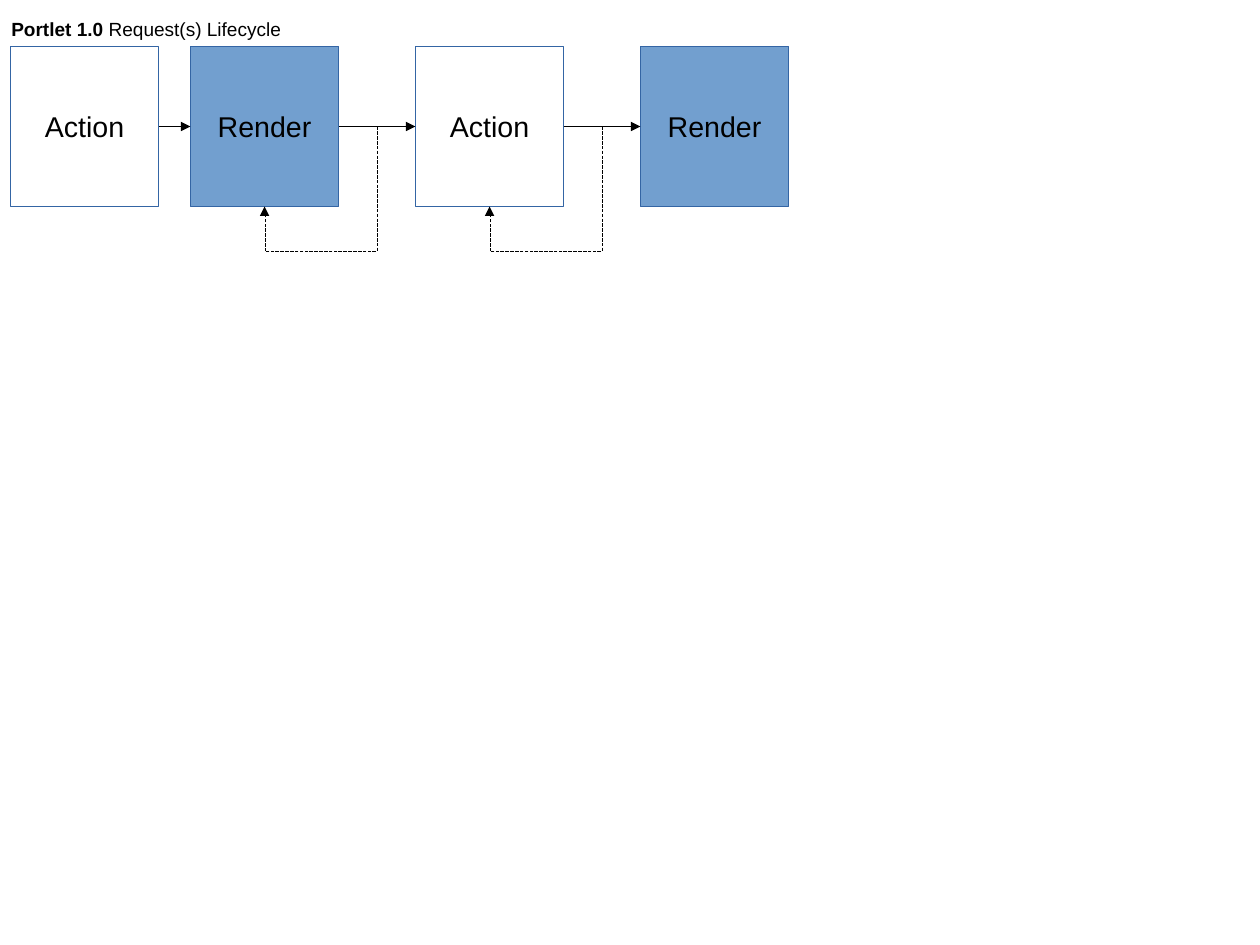
from pptx import Presentation
from pptx.dml.color import RGBColor
from pptx.enum.dml import MSO_LINE
from pptx.enum.shapes import MSO_CONNECTOR, MSO_SHAPE
from pptx.enum.text import MSO_ANCHOR, MSO_AUTO_SIZE, PP_ALIGN
from pptx.oxml.ns import qn
from pptx.util import Cm, Pt
from lxml.etree import SubElement


def rgb(value):
    return RGBColor.from_string(value)


class Deck:
    FONT = "Arial"
    INK = "000000"
    BORDER = "3465A4"
    RENDER_FILL = "729FCF"

    def __init__(self, prs):
        self.s = prs.slides.add_slide(prs.slide_layouts[5])

    def style_text(self, p, size):
        p.alignment = PP_ALIGN.CENTER
        p.font.name = self.FONT
        p.font.size = Pt(size)
        p.font.color.rgb = rgb(self.INK)

    def title(self, bold_text, text):
        sp = self.s.shapes.title
        sp.left, sp.top, sp.width, sp.height = Cm(0), Cm(0.25), Cm(6.5), Cm(0.74)
        tf = sp.text_frame
        tf.word_wrap = False
        tf.auto_size = MSO_AUTO_SIZE.SHAPE_TO_FIT_TEXT
        tf.vertical_anchor = MSO_ANCHOR.TOP
        tf.margin_left = tf.margin_right = Cm(0)
        p = tf.paragraphs[0]
        self.style_text(p, 12)
        for part, bold in ((bold_text, True), (text, False)):
            r = p.add_run()
            r.text = part
            r.font.bold = bold

    def phase(self, name, x, y, w, h):
        sp = self.s.shapes.add_shape(MSO_SHAPE.RECTANGLE, Cm(x), Cm(y), Cm(w), Cm(h))
        sp.shadow.inherit = False
        if name == "Render":
            sp.fill.solid()
            sp.fill.fore_color.rgb = rgb(self.RENDER_FILL)
        else:
            sp.fill.background()
        sp.line.color.rgb = rgb(self.BORDER)
        sp.line.width = Pt(0)
        tf = sp.text_frame
        tf.word_wrap = False
        tf.vertical_anchor = MSO_ANCHOR.MIDDLE
        p = tf.paragraphs[0]
        p.text = name
        self.style_text(p, 18)
        return sp

    def connector(self, kind, x1, y1, x2, y2):
        c = self.s.shapes.add_connector(kind, Cm(x1), Cm(y1), Cm(x2), Cm(y2))
        c._element.remove(c._element.find(qn("p:style")))
        c.line.color.rgb = rgb(self.INK)
        c.line.width = Pt(0)
        return c

    def finish(self, c):
        SubElement(c.line._get_or_add_ln(), qn("a:tailEnd"), type="triangle")
        SubElement(c._element.spPr, qn("a:effectLst"))

    def arrow(self, source, target):
        c = self.connector(MSO_CONNECTOR.STRAIGHT, 0, 0, 1, 1)
        c.begin_connect(source, 3)
        c.end_connect(target, 1)
        self.finish(c)

    def loop(self, x1, y1, x2, y2, drop):
        run, rise = x1 - x2, y2 - y1
        cx, cy = (x1 + x2) / 2, (y1 + y2) / 2
        c = self.connector(MSO_CONNECTOR.ELBOW, cx - rise / 2, cy - run / 2,
                           cx + rise / 2, cy + run / 2)
        c.line.dash_style = MSO_LINE.SQUARE_DOT
        spPr = c._element.spPr
        spPr.find(qn("a:xfrm")).set("rot", "5400000")
        avLst = spPr.find(qn("a:prstGeom")).get_or_add_avLst()
        ratio = round((rise + drop) / rise * 100000)
        SubElement(avLst, qn("a:gd"), name="adj1", fmla=f"val {ratio}")
        self.finish(c)


def main():
    prs = Presentation()
    prs.slide_width, prs.slide_height = Cm(28), Cm(21)
    deck = Deck(prs)
    deck.title("Portlet 1.0", " Request(s) Lifecycle")

    top, width, height = 1.03, 3.3, 3.56
    first, second, pitch, drop = 0.23, 4.23, 5, 1
    lefts = [first] + [second + pitch * i for i in range(3)]
    names = ["Action", "Render"] * 2
    phases = [deck.phase(n, x, top, width, height) for n, x in zip(names, lefts)]
    for source, target in zip(phases, phases[1:]):
        deck.arrow(source, target)
    for x in lefts[1:3]:
        deck.loop(x + (width + pitch) / 2, top + height / 2,
                  x + width / 2, top + height, drop)

    prs.save("out.pptx")


if __name__ == "__main__":
    main()
